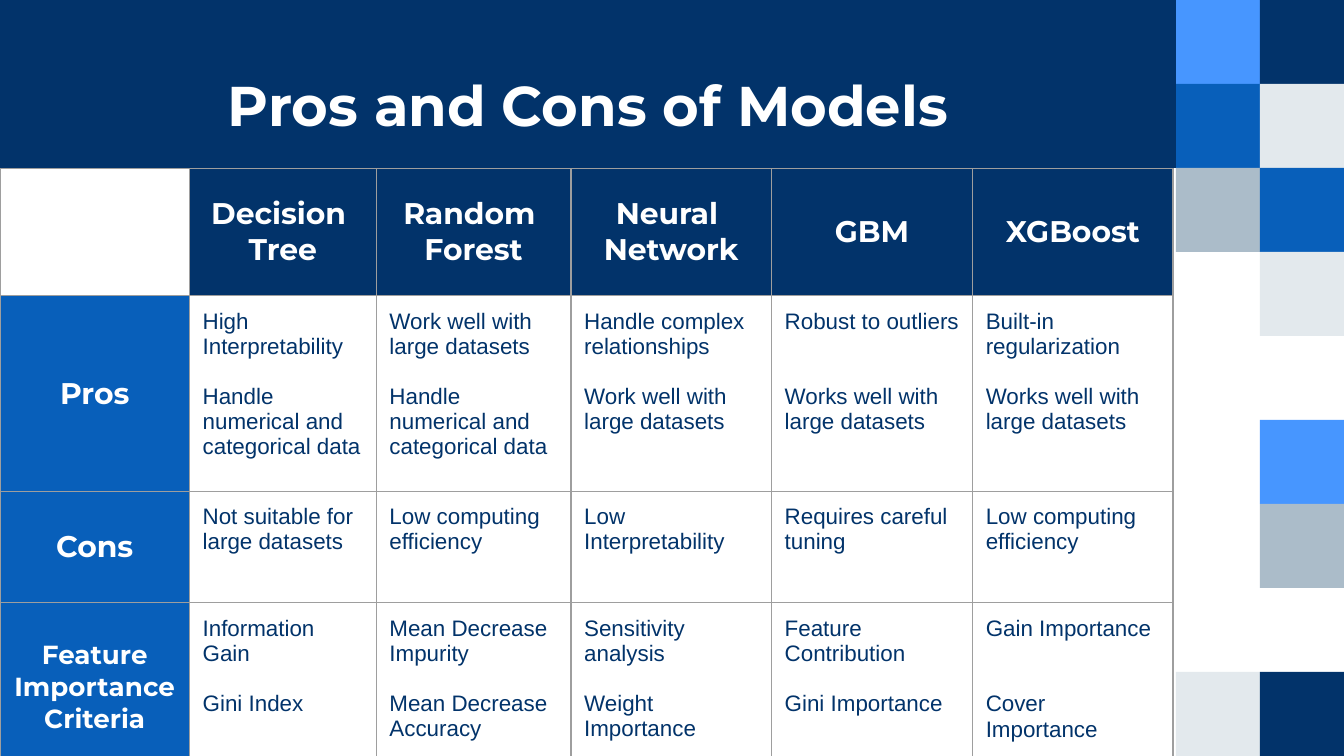
from dataclasses import dataclass

from lxml import etree
from pptx import Presentation
from pptx.dml.color import RGBColor
from pptx.enum.shapes import MSO_SHAPE
from pptx.enum.text import MSO_ANCHOR, PP_ALIGN
from pptx.oxml.ns import qn
from pptx.util import Cm, Pt

RECT = MSO_SHAPE.RECTANGLE
MIDDLE, TOP = MSO_ANCHOR.MIDDLE, MSO_ANCHOR.TOP
CENTER, LEFT = PP_ALIGN.CENTER, PP_ALIGN.LEFT


@dataclass(frozen=True)
class Theme:
    navy: str = "02336A"
    blue: str = "085FBA"
    sky: str = "4796FF"
    grey: str = "ABBCC9"
    pale: str = "E3E9ED"
    white: str = "FFFFFF"
    border: str = "9E9E9E"
    heading: str = "Montserrat"
    body: str = "Arial"
    title_size: int = 30
    head_size: int = 16
    small_head_size: int = 14
    body_size: int = 12
    line_gap: float = 13.5


T = Theme()
SLIDE_W, SLIDE_H = 25.4, 14.29
TILE = SLIDE_W / 16
PAD = 0.25

# Tile mosaic: one row per line, None leaves the square open
TILES = [
    (T.sky, T.navy),
    (T.blue, T.pale),
    (T.grey, T.blue),
    (None, T.pale),
    (None, None),
    (None, T.sky),
    (None, T.grey),
    (None, None),
    (T.pale, T.navy),
]

COL_WIDTHS = [3.58, 3.53, 3.68, 3.79, 3.8, 3.79]
ROW_HEIGHTS = [2.41, 3.7, 2.11, 3.18]
MODELS = ["Decision \nTree", "Random \nForest", "Neural \nNetwork", "GBM", "XGBoost"]
# Row label, label size, cell texts
CRITERIA = [
    ("Pros", T.head_size, [
        "High Interpretability\nHandle numerical and categorical data",
        "Work well with large datasets\nHandle numerical and categorical data",
        "Handle complex relationships\nWork well with large datasets",
        "Robust to outliers\nWorks well with large datasets",
        "Built-in regularization\nWorks well with large datasets",
    ]),
    ("Cons", T.head_size, [
        "Not suitable for large datasets",
        "Low computing efficiency",
        "Low Interpretability",
        "Requires careful tuning",
        "Low computing efficiency",
    ]),
    ("Feature Importance Criteria", T.small_head_size, [
        "Information Gain\nGini Index",
        "Mean Decrease Impurity\nMean Decrease Accuracy",
        "Sensitivity analysis\nWeight Importance",
        "Feature Contribution\nGini Importance",
        "Gain Importance\nCover Importance",
    ]),
]
# Single-line first entries get a wider gap so second entries line up
WIDE_GAP = ("Robust to outliers", "Gain Importance")


def write(tf, text, size, font=T.heading, color=T.white, bold=True,
          align=CENTER, gap=0):
    tf.word_wrap = True
    for i, line in enumerate(text.split("\n")):
        p = tf.paragraphs[0] if i == 0 else tf.add_paragraph()
        p.alignment = align
        p.space_before = Pt(gap if i else 0)
        r = p.add_run()
        r.text = line
        r.font.size, r.font.name, r.font.bold = Pt(size), font, bold
        r.font.color.rgb = RGBColor.from_string(color)


def add_rect(slide, x, y, w, h, color):
    sp = slide.shapes.add_shape(RECT, Cm(x), Cm(y), Cm(w), Cm(h))
    sp.shadow.inherit = False
    sp.fill.solid()
    sp.fill.fore_color.rgb = RGBColor.from_string(color)
    sp.line.fill.background()
    return sp


def add_mosaic(slide, x, y, size):
    for row, colors in enumerate(TILES):
        for col, color in enumerate(colors):
            if color:
                add_rect(slide, x + col * size, y + row * size, size, size, color)


def add_title(slide, x, y, w, h):
    tf = add_rect(slide, x, y, w, h, T.navy).text_frame
    tf.margin_left = tf.margin_right = Cm(PAD)
    tf.margin_top, tf.margin_bottom = Cm(0.76), 0
    tf.vertical_anchor = MIDDLE
    write(tf, "Pros and Cons of Models", T.title_size)


def style_cell(cell, fill=None, anchor=TOP):
    cell.margin_left = cell.margin_right = Cm(PAD)
    cell.margin_top = cell.margin_bottom = Cm(PAD)
    cell.vertical_anchor = anchor
    # Borders come before the fill in the cell properties
    tc_pr = cell._tc.get_or_add_tcPr()
    for side in ("a:lnL", "a:lnR", "a:lnT", "a:lnB"):
        ln = etree.SubElement(tc_pr, qn(side), w=str(Pt(0.75)))
        solid = etree.SubElement(ln, qn("a:solidFill"))
        etree.SubElement(solid, qn("a:srgbClr"), val=T.border)
    if fill:
        cell.fill.solid()
        cell.fill.fore_color.rgb = RGBColor.from_string(fill)
    else:
        cell.fill.background()


def add_heading_cell(cell, text, size, fill):
    style_cell(cell, fill, MIDDLE)
    write(cell.text_frame, text, size)


def add_body_cell(cell, text):
    style_cell(cell)
    gap = T.line_gap * (2 if text.startswith(WIDE_GAP) else 1)
    write(cell.text_frame, text, T.body_size, font=T.body, color=T.navy,
          bold=False, align=LEFT, gap=gap)


def add_comparison(slide, x, y):
    table = slide.shapes.add_table(
        len(ROW_HEIGHTS), len(COL_WIDTHS), Cm(x), Cm(y),
        Cm(sum(COL_WIDTHS)), Cm(sum(ROW_HEIGHTS))).table
    table.first_row = table.horz_banding = False
    for column, width in zip(table.columns, COL_WIDTHS):
        column.width = Cm(width)
    for row, height in zip(table.rows, ROW_HEIGHTS):
        row.height = Cm(height)

    # Header row
    style_cell(table.cell(0, 0))
    for col, model in enumerate(MODELS, 1):
        add_heading_cell(table.cell(0, col), model, T.head_size, T.navy)

    # Criteria rows
    for row, (label, size, texts) in enumerate(CRITERIA, 1):
        add_heading_cell(table.cell(row, 0), label, size, T.blue)
        for col, text in enumerate(texts, 1):
            add_body_cell(table.cell(row, col), text)


def main():
    prs = Presentation()
    prs.slide_width, prs.slide_height = Cm(SLIDE_W), Cm(SLIDE_H)
    slide = prs.slides.add_slide(prs.slide_layouts[6])
    mosaic_x, title_h = SLIDE_W - 2 * TILE, 2 * TILE
    add_mosaic(slide, mosaic_x, 0, TILE)
    add_comparison(slide, 0, title_h)
    add_title(slide, 0, 0, mosaic_x, title_h)
    prs.save("out.pptx")


if __name__ == "__main__":
    main()
